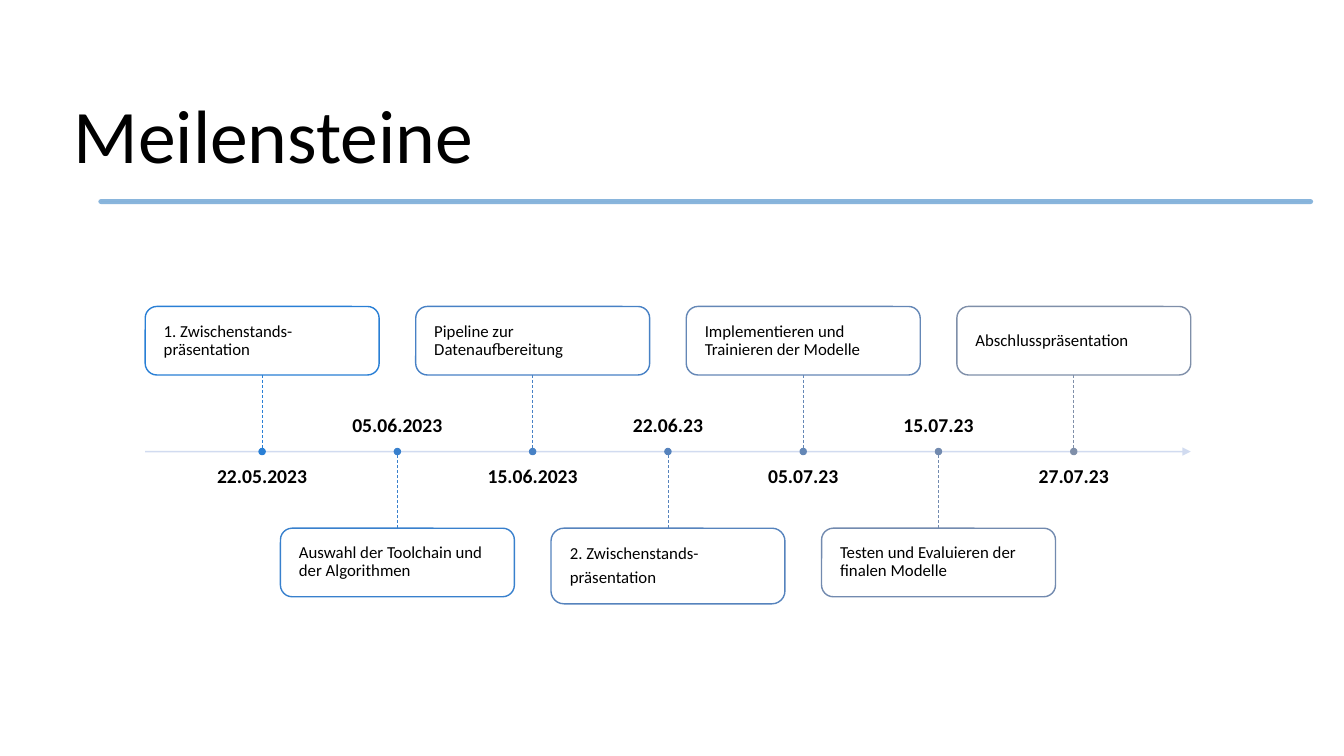
from dataclasses import dataclass

from pptx import Presentation
from pptx.dml.color import RGBColor
from pptx.enum.dml import MSO_LINE
from pptx.enum.shapes import MSO_CONNECTOR, MSO_SHAPE
from pptx.enum.text import MSO_ANCHOR, MSO_AUTO_SIZE, PP_ALIGN
from pptx.oxml.ns import qn
from pptx.util import Inches, Pt
from lxml.etree import SubElement


@dataclass(frozen=True)
class Theme:
    font: str = "Calibri"
    ink: str = "000000"
    paper: str = "FFFFFF"
    brush: str = "629DD1"
    axis: str = "CDD8EF"
    steps: tuple = ("297FD5", "3880CD", "4781C5", "5683BD",
                    "6487B6", "728AAF", "7F8FA9")
    head: int = 54
    date: int = 14
    note: int = 12


@dataclass(frozen=True)
class Box:
    x: float
    y: float
    w: float
    h: float

    def place(self):
        return [Inches(v) for v in (self.x, self.y, self.w, self.h)]


THEME = Theme()

STONES = [
    ("22.05.2023", "1. Zwischenstands-präsentation"),
    ("05.06.2023", "Auswahl der Toolchain und der Algorithmen"),
    ("15.06.2023", "Pipeline zur Datenaufbereitung"),
    ("22.06.23", "2. Zwischenstands-\npräsentation"),
    ("05.07.23", "Implementieren und Trainieren der Modelle"),
    ("15.07.23", "Testen und Evaluieren der finalen Modelle"),
    ("27.07.23", "Abschlusspräsentation"),
]

UPPER = [(0, 0), (0.6, 0), (1.1, -0.01), (1.8, -0.02), (2.4, 0),
         (3.3, -0.01), (4.3, 0), (4.9, -0.02), (5.45, -0.03), (5.7, -0.02),
         (6, 0), (7.1, -0.01), (8.2, 0), (9.3, -0.01), (10.3, 0),
         (10.9, -0.01), (11.4, 0), (12, 0)]
LOWER = [(12, 0.02), (11.3, 0.02), (10.85, 0.03), (10.4, 0.02),
         (9.2, 0.02), (8.8, 0.03), (8, 0.02), (7, 0.03), (6.3, 0.02),
         (5.5, 0.02), (4.9, 0.03), (4.2, 0.02), (3, 0.02), (1.7, 0.03),
         (1, 0.02), (0, 0.02)]


def color(code):
    return RGBColor.from_string(code)


def paint(fill, code):
    fill.solid()
    fill.fore_color.rgb = color(code)


def fade(shape, part):
    for tint in shape.element.spPr.iter(qn("a:srgbClr")):
        SubElement(tint, qn("a:alpha")).set("val", str(part * 1000))


def write(frame, text, size, inset, anchor, align=PP_ALIGN.LEFT, bold=False):
    frame.text = text
    frame.word_wrap = True
    frame.auto_size = MSO_AUTO_SIZE.NONE
    frame.vertical_anchor = anchor
    frame.margin_left = frame.margin_right = Inches(inset)
    frame.margin_top = frame.margin_bottom = Inches(min(inset, 0.05))
    for line in frame.paragraphs:
        line.alignment = align
        line.line_spacing = 0.9
        line.space_after = Pt(size * 0.35)
        for run in line.runs:
            run.font.name = THEME.font
            run.font.size = Pt(size)
            run.font.bold = bold
            run.font.color.rgb = color(THEME.ink)


def draw_line(slide, start, end, code, width):
    ends = [Inches(v) for v in (*start, *end)]
    line = slide.shapes.add_connector(MSO_CONNECTOR.STRAIGHT, *ends)
    line.line.color.rgb = color(code)
    line.line.width = Pt(width)
    SubElement(line.element.spPr, qn("a:effectLst"))
    return line


def add_shape(slide, kind, box, fill, edge):
    shape = slide.shapes.add_shape(kind, *box.place())
    shape.shadow.inherit = False
    paint(shape.fill, fill)
    shape.line.color.rgb = color(edge)
    shape.line.width = Pt(1)
    return shape


def add_title(slide, box):
    title = slide.shapes.title
    title.left, title.top, title.width, title.height = box.place()
    paint(title.fill, THEME.paper)
    write(title.text_frame, "Meilensteine", THEME.head, 0.1, MSO_ANCHOR.BOTTOM)


def add_brush(slide, box):
    first, *rest = [(box.x + x, box.y + y) for x, y in UPPER + LOWER]
    path = slide.shapes.build_freeform(*first, scale=Inches(1))
    path.add_line_segments(rest, close=True)
    brush = path.convert_to_shape()
    brush.shadow.inherit = False
    paint(brush.fill, THEME.brush)
    brush.line.color.rgb = color(THEME.brush)
    brush.line.width = Pt(3.5)
    SubElement(brush.element.spPr.find(qn("a:ln")), qn("a:round"))
    fade(brush, 75)


def add_stone(slide, mid, level, above, date, note, code):
    tall = 0.75 if "\n" in note else 0.68
    top = level - 1.44 if above else level + 0.76
    card = add_shape(slide, MSO_SHAPE.ROUNDED_RECTANGLE,
                     Box(mid - 1.16, top, 2.32, tall), THEME.paper, code)
    card.adjustments[0] = 0.17
    fade_fill = card.fill.fore_color
    fade_fill.rgb = color(THEME.paper)
    write(card.text_frame, note, THEME.note, 0.15, MSO_ANCHOR.MIDDLE)

    edge = top + tall if above else top
    stem = draw_line(slide, (mid, edge), (mid, level), code, 0.5)
    stem.line.dash_style = MSO_LINE.DASH
    stem.begin_connect(card, 2 if above else 0)

    add_shape(slide, MSO_SHAPE.OVAL,
              Box(mid - 0.03, level - 0.03, 0.06, 0.06), code, code)

    shift = 0.15 if above else -0.6
    label = slide.shapes.add_textbox(
        *Box(mid - 1.02, level + shift, 2.04, 0.45).place())
    anchor = MSO_ANCHOR.TOP if above else MSO_ANCHOR.BOTTOM
    write(label.text_frame, date, THEME.date, 0, anchor,
          PP_ALIGN.CENTER, True)


def add_timeline(slide, box):
    level = box.y + box.h / 2
    axis = draw_line(slide, (box.x, level), (box.x + box.w, level),
                     THEME.axis, 1)
    SubElement(axis.element.spPr.find(qn("a:ln")),
               qn("a:tailEnd")).set("type", "triangle")
    fade(axis, 90)
    step = (box.w - 2.32) / (len(STONES) - 1)
    for i, ((date, note), code) in enumerate(zip(STONES, THEME.steps)):
        add_stone(slide, box.x + 1.16 + i * step, level, i % 2 == 0,
                  date, note, code)


def main():
    deck = Presentation()
    deck.slide_width = Inches(13.33)
    deck.slide_height = Inches(7.5)
    slide = deck.slides.add_slide(deck.slide_layouts[5])
    add_title(slide, Box(0.63, 0.26, 12.05, 1.57))
    add_brush(slide, Box(0.63, 1.84, 12, 0.02))
    add_timeline(slide, Box(1.44, 2.48, 10.37, 4))
    deck.save("out.pptx")


if __name__ == "__main__":
    main()
